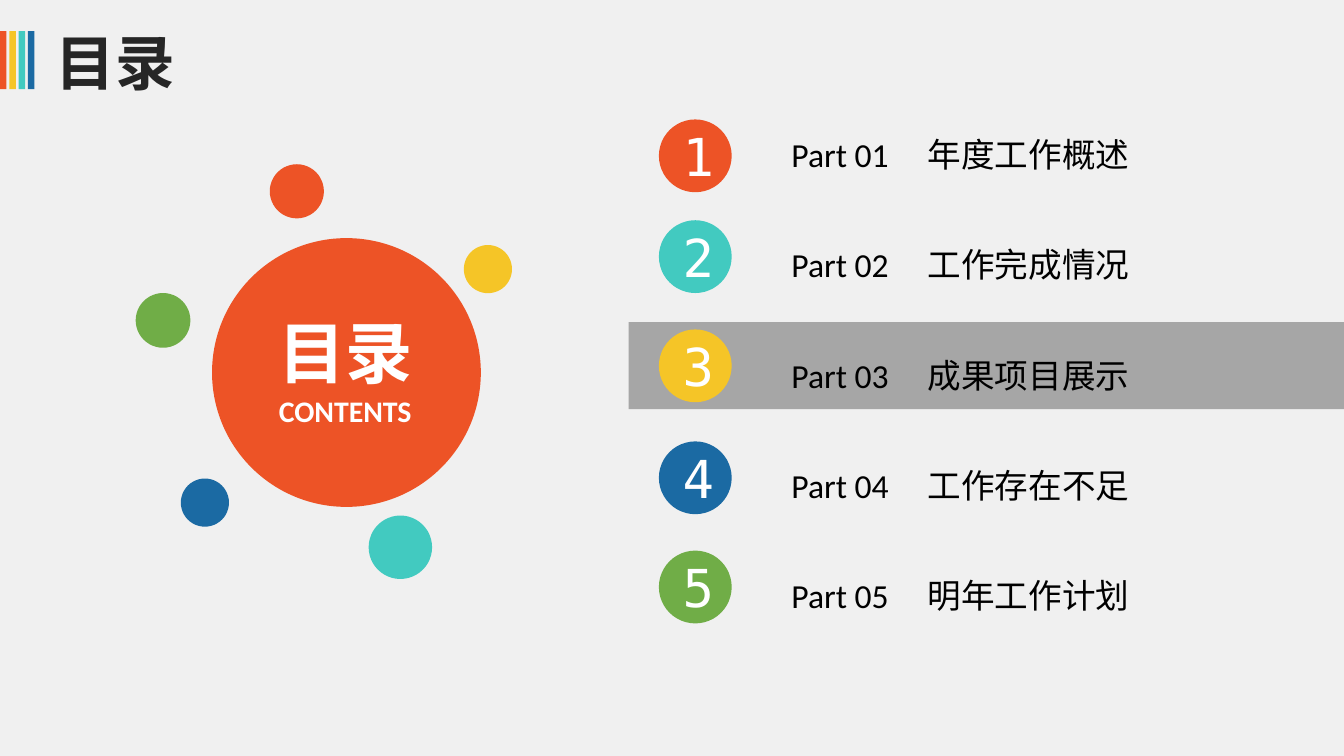
from lxml import etree
from pptx import Presentation
from pptx.dml.color import RGBColor
from pptx.enum.shapes import MSO_SHAPE
from pptx.enum.text import MSO_ANCHOR, PP_ALIGN
from pptx.oxml.ns import qn
from pptx.util import Pt

RECT, OVAL = MSO_SHAPE.RECTANGLE, MSO_SHAPE.OVAL
LEFT, CENTER = PP_ALIGN.LEFT, PP_ALIGN.CENTER
MIDDLE = MSO_ANCHOR.MIDDLE
FONT, DIGIT_FONT = "Calibri", "DejaVu Sans Mono"

COLORS = {
    "back": "F0F0F0", "orange": "ED5326", "yellow": "F5C527", "teal": "42CAC0",
    "blue": "1B6AA3", "green": "70AD47", "gray": "A6A6A6",
    "title": "262626", "black": "000000", "white": "FFFFFF",
}

TITLE = "目录"
SUBTITLE = "CONTENTS"
STRIPES = ["orange", "yellow", "teal", "blue"]
# part, heading, badge colour, badge top
PARTS = [
    ("Part 01", "年度工作概述", "orange", 64),
    ("Part 02", "工作完成情况", "teal", 118),
    ("Part 03", "成果项目展示", "yellow", 176.5),
    ("Part 04", "工作存在不足", "blue", 236.5),
    ("Part 05", "明年工作计划", "green", 295),
]
# colour, left, top, diameter
DOTS = [
    ("orange", 144.5, 88, 29),
    ("yellow", 248.5, 131.3, 25.8),
    ("blue", 96.9, 256.4, 25.8),
    ("green", 72.7, 157, 29.3),
    ("teal", 197.5, 276.2, 34),
]
LABEL_TOP, LABEL_PITCH, TAB = 68.4, 59, 73


def rgb(name):
    return RGBColor.from_string(COLORS[name])


def add_shape(s, kind, color, left, top, width, height):
    sp = s.shapes.add_shape(kind, Pt(left), Pt(top), Pt(width), Pt(height))
    sp.shadow.inherit = False
    sp.fill.solid()
    sp.fill.fore_color.rgb = rgb(color)
    sp.line.fill.background()
    return sp


def add_box(s, left, top, width, height):
    tf = s.shapes.add_textbox(Pt(left), Pt(top), Pt(width), Pt(height)).text_frame
    tf.word_wrap = True
    return tf


def write(p, text, size, color, align=CENTER, bold=False, font=FONT):
    p.alignment = align
    r = p.add_run()
    r.text = text
    r.font.size, r.font.bold, r.font.name = Pt(size), bold, font
    r.font.color.rgb = rgb(color)


def add_tab_stop(p, position):
    tabs = etree.SubElement(p._p.get_or_add_pPr(), qn("a:tabLst"))
    etree.SubElement(tabs, qn("a:tab"), pos=str(Pt(position)), algn="l")


def add_title(s):
    for i, color in enumerate(STRIPES):
        add_shape(s, RECT, color, 5 * i, 16.6, 3.5, 31.2)
    sp = s.shapes.title
    sp.left, sp.top, sp.width, sp.height = Pt(22.5), Pt(15), Pt(200), Pt(36)
    tf = sp.text_frame
    tf.vertical_anchor = MIDDLE
    write(tf.paragraphs[0], TITLE, 32, "title", LEFT, True)


def add_parts(s):
    add_shape(s, RECT, "gray", 336.8, 172.6, 383.2, 46.6)
    for i, (part, heading, color, top) in enumerate(PARTS):
        tf = add_box(s, 409.7, LABEL_TOP + LABEL_PITCH * i, 209, 29)
        tf.margin_left = Pt(14.3)
        p = tf.paragraphs[0]
        write(p, f"{part}\t{heading}", 18, "black", LEFT)
        add_tab_stop(p, TAB)

        tf = add_shape(s, OVAL, color, 353, top, 39, 39).text_frame
        tf.vertical_anchor = MIDDLE
        write(tf.paragraphs[0], str(i + 1), 28, "white", font=DIGIT_FONT)


def add_hub(s):
    add_shape(s, OVAL, "orange", 113.6, 127.6, 144, 144)
    tf = add_box(s, 105, 163.4, 160, 70.6)
    write(tf.paragraphs[0], TITLE, 36, "white", bold=True)
    write(tf.add_paragraph(), SUBTITLE, 16, "white", bold=True)
    for color, left, top, size in DOTS:
        add_shape(s, OVAL, color, left, top, size, size)


def main():
    prs = Presentation()
    prs.slide_width, prs.slide_height = Pt(720), Pt(405)
    s = prs.slides.add_slide(prs.slide_layouts.get_by_name("Title Only"))
    s.background.fill.solid()
    s.background.fill.fore_color.rgb = rgb("back")
    add_title(s)
    add_parts(s)
    add_hub(s)
    prs.save("out.pptx")


if __name__ == "__main__":
    main()
